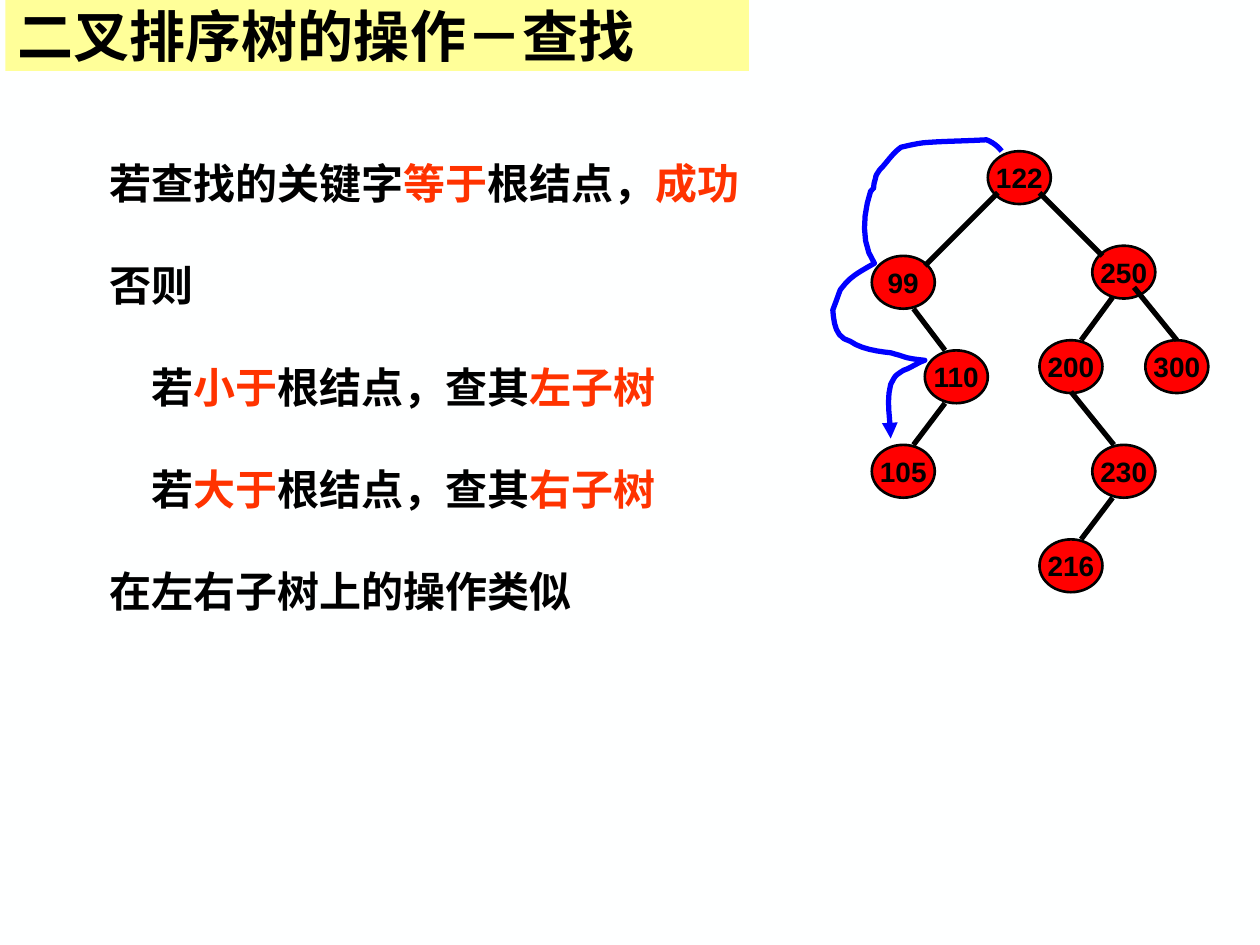
import pptx
import pptx.util
import pptx.oxml.ns
from lxml import etree
from pptx.dml.color import RGBColor
from pptx.enum.shapes import MSO_CONNECTOR, MSO_SHAPE
from pptx.enum.text import MSO_ANCHOR, PP_ALIGN
from pptx.util import Pt

BLACK = RGBColor(0x00, 0x00, 0x00)
RED = RGBColor(0xFF, 0x00, 0x00)
ORANGE = RGBColor(0xFF, 0x33, 0x00)
BLUE = RGBColor(0x00, 0x00, 0xFF)
YELLOW = RGBColor(0xFF, 0xFF, 0x99)
PAPER = RGBColor(0xFE, 0xFF, 0xFF)
CHINESE = "Noto Sans CJK SC"

# Content: each line is a list of (text, colour) spans
TITLE = "二叉排序树的操作－查找"
LINES = [
    [("若查找的关键字", BLACK), ("等于", ORANGE), ("根结点，", BLACK), ("成功", ORANGE)],
    [("否则", BLACK)],
    [("　若", BLACK), ("小于", ORANGE), ("根结点，查其", BLACK), ("左子树", ORANGE)],
    [("　若", BLACK), ("大于", ORANGE), ("根结点，查其", BLACK), ("右子树", ORANGE)],
    [("在左右子树上的操作类似", BLACK)],
]

# Tree nodes: key, left edge, row, extra drop
NODE_WIDTH, NODE_HEIGHT = 36, 30.2
FIRST_ROW, ROW_STEP, DROP = 86.4, 54, 5.8
NODES = [
    ("122", 564.5, 0, 0), ("250", 624.2, 1, 0), ("300", 654.5, 2, 0),
    ("110", 528.5, 2, DROP), ("200", 594, 2, 0), ("99", 498.2, 1, DROP),
    ("105", 498.2, 3, DROP), ("230", 624.2, 3, DROP), ("216", 594, 4, DROP),
]
# Tree edges: start x, y, end x, y
EDGES = [
    (570.2, 110.2, 528.5, 151.9), (594, 110.2, 630, 146.2),
    (648, 164.2, 672.5, 194.4), (635.8, 169.9, 617.8, 194.4),
    (522, 176.4, 540, 200.2), (540, 230.4, 522, 254.2),
    (612, 223.9, 636.5, 254.2), (635.8, 284.4, 617.8, 308.2),
]
# Search path: start, then Bezier segments (two controls and an end)
PATH_START = (572.4, 86.4)
PATH_CURVES = [
    ((570.2, 83.5), (567.4, 81.4), (563.8, 79.9)),
    ((552.2, 80.6), (541.4, 80.6), (530.6, 81.4)),
    ((525.6, 81.4), (514.8, 84.2), (514.8, 84.2)),
    ((509.8, 87.8), (506.9, 92.9), (502.6, 97.2)),
    ((501.8, 98.6), (500.4, 100.1), (500.4, 101.5)),
    ((497.5, 110.9), (501.8, 104.4), (497.5, 109.4)),
    ((493.2, 122.4), (491.8, 139), (499.7, 150.5)),
    ((491, 155.5), (486, 157.7), (480.2, 165.6)),
    ((478.8, 169.2), (477.4, 173.5), (475.9, 177.1)),
    ((476.6, 185), (477.4, 193), (486, 195.1)),
    ((491.8, 199.4), (501.8, 200.9), (509, 201.6)),
    ((511.2, 202.3), (514.1, 203), (516.2, 203.8)),
    ((519.8, 205.2), (528.5, 205.9), (528.5, 205.9)),
    ((524.2, 207.4), (520.6, 210.2), (516.2, 211.7)),
    ((510.5, 215.3), (511.9, 214.6), (509, 219.6)),
    ((506.2, 229.7), (509, 239.8), (509, 250.6)),
]
CURVE_STEPS = 6


def style_span(span, size, name, colour):
    font = span.font
    font.size, font.name, font.bold = Pt(size), name, True
    font.color.rgb = colour
    if name == CHINESE:
        tag = pptx.oxml.ns.qn("a:ea")
        etree.SubElement(span._r.get_or_add_rPr(), tag).set("typeface", name)


def set_line(shape, colour, width):
    shape.line.color.rgb = colour
    shape.line.width = Pt(width)


def bezier(points, t):
    weights = ((1 - t) ** 3, 3 * t * (1 - t) ** 2, 3 * t * t * (1 - t), t ** 3)
    return tuple(Pt(sum(w * p[axis] for w, p in zip(weights, points)))
                 for axis in (0, 1))


deck = pptx.Presentation()
deck.slide_width, deck.slide_height = Pt(720), Pt(540)
page = deck.slides.add_slide(deck.slide_layouts[5])
page.background.fill.solid()
page.background.fill.fore_color.rgb = PAPER

# Title band
title = page.shapes.title
title.left, title.top, title.width, title.height = Pt(3), Pt(0), Pt(425), Pt(40.5)
title.fill.solid()
title.fill.fore_color.rgb = YELLOW
title.text_frame.text = TITLE
title.text_frame.vertical_anchor = MSO_ANCHOR.MIDDLE
para = title.text_frame.paragraphs[0]
para.alignment = PP_ALIGN.LEFT
style_span(para.runs[0], 32, CHINESE, BLACK)

# Search rules
box = page.shapes.add_textbox(Pt(19.5), Pt(72), Pt(435), Pt(283.5))
frame = box.text_frame
frame.word_wrap = True
for index, spans in enumerate(LINES):
    para = frame.paragraphs[0] if index == 0 else frame.add_paragraph()
    para.level = 1
    properties = para._p.get_or_add_pPr()
    properties.set("marL", str(Pt(36)))
    properties.set("indent", "0")
    para.line_spacing = Pt(43.3)
    para.space_before = Pt(15 if index else 0)
    for text, colour in spans:
        span = para.add_run()
        span.text = text
        style_span(span, 24, CHINESE, colour)

# Tree nodes
for key, left, row, drop in NODES:
    node = page.shapes.add_shape(
        MSO_SHAPE.OVAL, Pt(left), Pt(FIRST_ROW + row * ROW_STEP + drop),
        Pt(NODE_WIDTH), Pt(NODE_HEIGHT))
    node.shadow.inherit = False
    node.fill.solid()
    node.fill.fore_color.rgb = RED
    set_line(node, BLACK, 1.5)
    node.text_frame.text = key
    node.text_frame.word_wrap = False
    node.text_frame.vertical_anchor = MSO_ANCHOR.MIDDLE
    para = node.text_frame.paragraphs[0]
    para.alignment = PP_ALIGN.CENTER
    style_span(para.runs[0], 16, "Arial", BLACK)

# Tree edges
for ends in EDGES:
    edge = page.shapes.add_connector(MSO_CONNECTOR.STRAIGHT, *map(Pt, ends))
    set_line(edge, BLACK, 3)
    etree.SubElement(edge._element.spPr, pptx.oxml.ns.qn("a:effectLst"))

# Search path with an arrowhead
trail = []
start = PATH_START
for curve in PATH_CURVES:
    trail += [bezier((start, *curve), step / CURVE_STEPS)
              for step in range(1, CURVE_STEPS + 1)]
    start = curve[-1]
builder = page.shapes.build_freeform(*map(Pt, PATH_START))
builder.add_line_segments(trail, close=False)
route = builder.convert_to_shape()
route.shadow.inherit = False
route.fill.background()
set_line(route, BLUE, 3)
arrow = etree.SubElement(route.line._get_or_add_ln(), pptx.oxml.ns.qn("a:tailEnd"))
arrow.set("type", "triangle")

deck.save("out.pptx")
